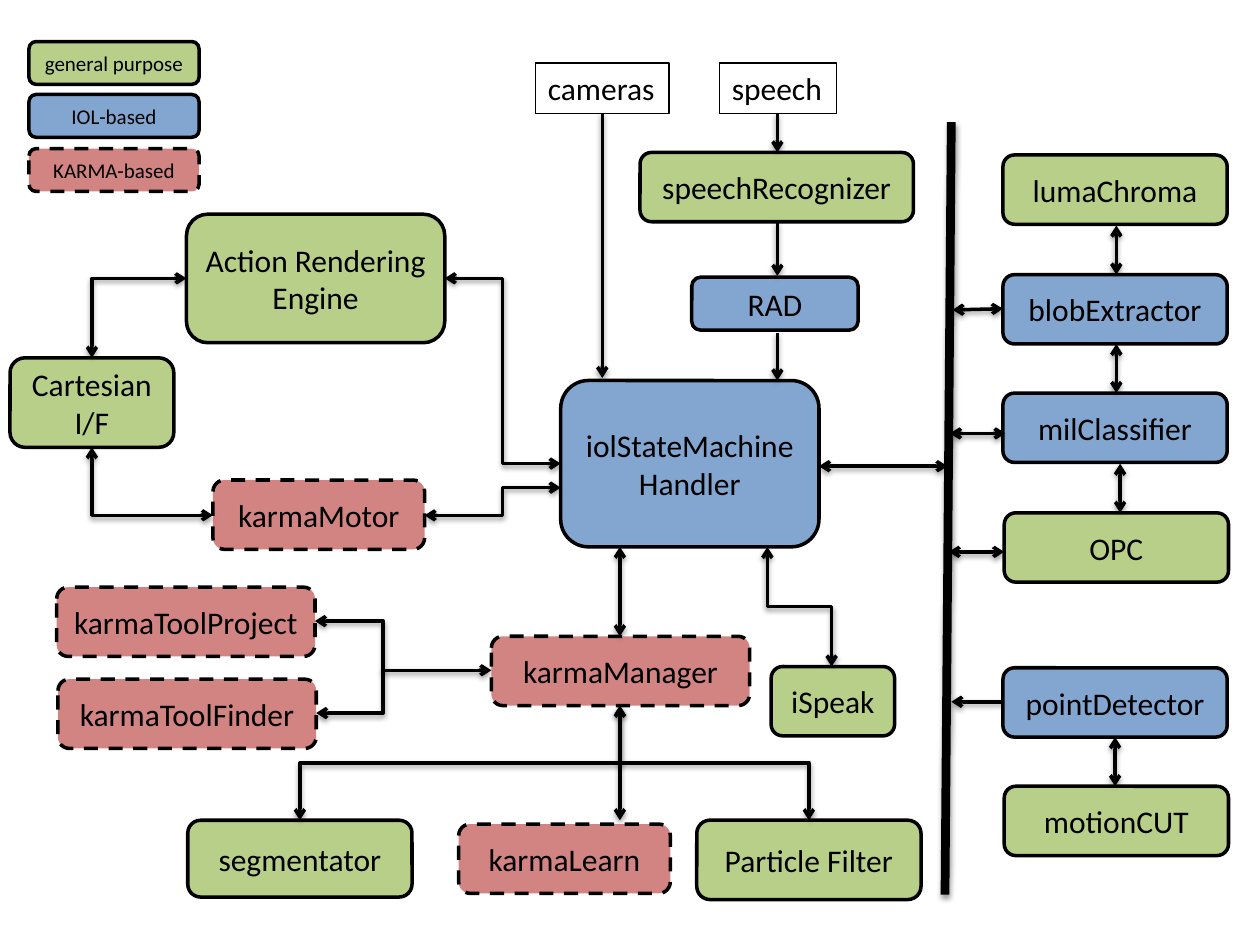
"""Builds a one-slide block diagram of a robot software architecture."""
from lxml import etree
from pptx import Presentation
from pptx.dml.color import RGBColor
from pptx.enum import dml, shapes, text
from pptx.oxml import ns
from pptx.util import Inches, Pt

BLACK = "000000"
GENERAL, IOL, KARMA = "9BBB59", "4F81BD", "C0504D"

LEGEND = [("general purpose", GENERAL, 0.33), ("IOL-based", IOL, 0.75), ("KARMA-based", KARMA, 1.18)]
INPUTS = [("cameras", 4.25, 0.5, 1.06, 0.4), ("speech", 5.71, 0.5, 0.93, 0.4)]
MODULES = [
    ("speechRecognizer", GENERAL, 5.08, 1.21, 2.17, 0.55),
    ("RAD", IOL, 5.49, 2.2, 1.32, 0.42),
    ("iolStateMachine\nHandler", IOL, 4.45, 3.02, 2.05, 1.32),
    ("Action Rendering Engine", GENERAL, 1.48, 1.7, 2.05, 1.02),
    ("Cartesian I/F", GENERAL, 0.08, 2.84, 1.3, 0.71),
    ("karmaMotor", KARMA, 1.69, 3.81, 1.68, 0.55),
    ("karmaToolProject", KARMA, 0.45, 4.66, 2.05, 0.55),
    ("karmaToolFinder", KARMA, 0.46, 5.39, 2.05, 0.55),
    ("karmaManager", KARMA, 3.9, 5.05, 2.05, 0.55),
    ("iSpeak", GENERAL, 6.12, 5.29, 0.98, 0.55),
    ("segmentator", GENERAL, 1.49, 6.51, 1.78, 0.61),
    ("karmaLearn", KARMA, 3.64, 6.54, 1.68, 0.55),
    ("Particle Filter", GENERAL, 5.53, 6.51, 1.78, 0.63),
    ("lumaChroma", GENERAL, 7.96, 1.23, 1.78, 0.55),
    ("blobExtractor", IOL, 7.96, 2.18, 1.78, 0.55),
    ("milClassifier", IOL, 7.96, 3.12, 1.78, 0.55),
    ("OPC", GENERAL, 7.97, 4.07, 1.78, 0.55),
    ("pointDetector", IOL, 7.96, 5.3, 1.78, 0.55),
    ("motionCUT", GENERAL, 7.97, 6.24, 1.78, 0.55),
]
BUS = (7.55, 0.97, 7.5, 7.1)
ONE_WAY = [
    (4.78, 0.9, 4.78, 3), (6.17, 0.9, 6.17, 1.21), (6.17, 1.76, 6.17, 2.19),
    (6.17, 2.64, 6.17, 3.02), (7.96, 5.57, 7.55, 5.57), (4.92, 6.06, 4.92, 6.51),
    (3.03, 5.32, 3.9, 5.32),
]
TWO_WAY = [
    (8.86, 1.79, 8.86, 2.18), (8.86, 2.73, 8.86, 3.12), (8.89, 3.68, 8.89, 4.07),
    (8.85, 5.85, 8.85, 6.24), (7.56, 2.46, 7.96, 2.45), (7.54, 3.44, 7.98, 3.44),
    (7.53, 4.38, 7.97, 4.38), (6.5, 3.7, 7.52, 3.7), (4.92, 4.34, 4.92, 5.05),
]
CORNERS = [(1.48, 2.21, 0.73, 2.84), (1.69, 4.09, 0.73, 3.55)]
SIDEWAYS = [
    ((4.45, 3.68, 3.53, 2.21), 3.99), ((4.45, 3.87, 3.37, 4.09), 3.99),
    ((2.51, 5.66, 2.5, 4.93), 3.05),
]
DOWNWARD = [(6.09, 4.34, 6.6, 5.29), (4.92, 5.6, 6.42, 6.51), (4.92, 5.6, 2.38, 6.51)]

deck = Presentation()
deck.slide_width, deck.slide_height = Inches(10), Inches(7.5)
slide = deck.slides.add_slide(deck.slide_layouts[6])


def color(value):
    return RGBColor.from_string(value)


def child(parent, tag, **attributes):
    node = etree.SubElement(parent, ns.qn(tag))
    for name, value in attributes.items():
        node.set(name, str(value))
    return node


def outline(item, width):
    item.line.color.rgb = color(BLACK)
    item.line.width = Pt(width)


def write(frame, label, size, align):
    frame.text = label
    for paragraph in frame.paragraphs:
        paragraph.alignment = align
        for run in paragraph.runs:
            run.font.name, run.font.size = "Calibri", Pt(size)
            run.font.color.rgb = color(BLACK)


def module(label, fill, left, top, width, height, size=18):
    box = slide.shapes.add_shape(shapes.MSO_SHAPE.ROUNDED_RECTANGLE,
                                 *map(Inches, (left, top, width, height)))
    box.shadow.inherit = False
    box.fill.solid()
    box.fill.fore_color.rgb = color(fill)
    child(box.fill._xPr.find(".//" + ns.qn("a:srgbClr")), "a:alpha", val=70000)
    outline(box, 2)
    if fill == KARMA:
        box.line.dash_style = dml.MSO_LINE.DASH
    box.text_frame.word_wrap = True
    box.text_frame.vertical_anchor = text.MSO_ANCHOR.MIDDLE
    write(box.text_frame, label, size, text.PP_ALIGN.CENTER)


def source(label, *place):
    box = slide.shapes.add_textbox(*map(Inches, place))
    outline(box, 0.75)
    box.text_frame.word_wrap = False
    write(box.text_frame, label, 18, text.PP_ALIGN.LEFT)


def link(ends, heads=("headEnd", "tailEnd"), kind=shapes.MSO_CONNECTOR.STRAIGHT, width=2):
    line = slide.shapes.add_connector(kind, *map(Inches, ends))
    outline(line, width)
    for head in heads:
        child(line.line._ln, "a:" + head, type="arrow")
    effects = child(line._element.spPr, "a:effectLst")
    shadow = child(effects, "a:outerShdw", blurRad=Pt(3.1), dist=Pt(1.6),
                   dir=5400000, rotWithShape=0)
    child(child(shadow, "a:srgbClr", val=BLACK), "a:alpha", val=38000)
    return line._element.spPr


def elbow(ends):
    return link(ends, kind=shapes.MSO_CONNECTOR.ELBOW)


def corner(ends):
    elbow(ends).find(ns.qn("a:prstGeom")).set("prst", "bentConnector2")


def sideways(ends, bend):
    x1, _, x2, _ = ends
    guides = elbow(ends).find(ns.qn("a:prstGeom")).find(ns.qn("a:avLst"))
    share = round((bend - x1) / (x2 - x1) * 100000)
    child(guides, "a:gd", name="adj1", fmla=f"val {share}")


def downward(x1, y1, x2, y2):
    x, y, run, drop = (x1 + x2) / 2, (y1 + y2) / 2, (x2 - x1) / 2, (y2 - y1) / 2
    turned = elbow((x - drop, y + run, x + drop, y - run))
    turned.find(ns.qn("a:xfrm")).set("rot", "5400000")


link(BUS, heads=(), width=5)
for ends in ONE_WAY:
    link(ends, heads=("tailEnd",))
for ends in TWO_WAY:
    link(ends)
for ends in CORNERS:
    corner(ends)
for ends, bend in SIDEWAYS:
    sideways(ends, bend)
for ends in DOWNWARD:
    downward(*ends)
for label, fill, top in LEGEND:
    module(label, fill, 0.23, top, 1.35, 0.34, size=12)
for entry in INPUTS:
    source(*entry)
for entry in MODULES:
    module(*entry)

deck.save("out.pptx")
